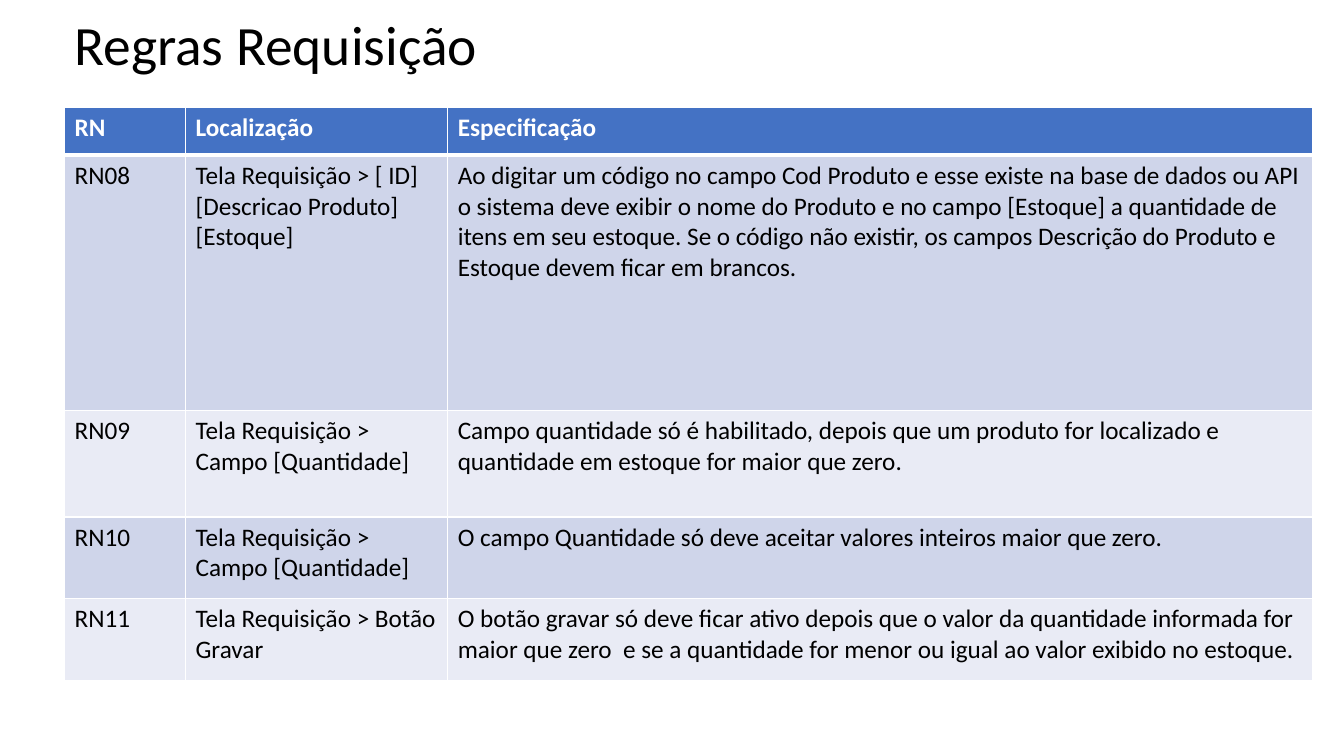
from dataclasses import dataclass

from lxml import etree
from pptx import Presentation
from pptx.dml.color import RGBColor
from pptx.enum.text import MSO_ANCHOR
from pptx.oxml.ns import qn
from pptx.util import Inches, Pt

MIDDLE = MSO_ANCHOR.MIDDLE


@dataclass(frozen=True)
class Theme:
    """Colours, font and sizes of the slide."""

    font: str = "Calibri"
    title_size: float = 39.6
    table_size: float = 18
    ink: str = "000000"
    white: str = "FFFFFF"
    header: str = "4472C4"
    bands: tuple = ("CFD5EA", "E9EBF5")
    thin: float = 1
    thick: float = 3


THEME = Theme()
COLUMN_WIDTHS = (1.2, 2.6, 8.58)
ROW_HEIGHTS = (0.47, 2.53, 1.06, 0.81, 0.81)
RULES = (
    ("RN", "Localização", "Especificação"),
    (
        "RN08",
        "Tela Requisição > [ ID] [Descricao Produto] [Estoque]",
        "Ao digitar um código no campo Cod Produto e esse existe na base de dados "
        "ou API o sistema deve exibir o nome do Produto e no campo [Estoque] a "
        "quantidade de itens em seu estoque. Se o código não existir, os campos "
        "Descrição do Produto e Estoque devem ficar em brancos.",
    ),
    (
        "RN09",
        "Tela Requisição > Campo [Quantidade]",
        "Campo quantidade só é habilitado, depois que um produto for localizado e "
        "quantidade em estoque for maior que zero.",
    ),
    (
        "RN10",
        "Tela Requisição > Campo [Quantidade]",
        "O campo Quantidade só deve aceitar valores inteiros maior que zero.",
    ),
    (
        "RN11",
        "Tela Requisição > Botão Gravar",
        "O botão gravar só deve ficar ativo depois que o valor da quantidade "
        "informada for maior que zero  e se a quantidade for menor ou igual ao "
        "valor exibido no estoque.",
    ),
)


def format_text(frame, size, colour, bold=False):
    """Give every run of a text frame the same font."""
    for para in frame.paragraphs:
        for span in para.runs:
            span.font.name = THEME.font
            span.font.size = Pt(size)
            span.font.bold = bold
            span.font.color.rgb = RGBColor.from_string(colour)


def add_title(page, text):
    """Add the slide title."""
    box = page.shapes.add_textbox(
        Inches(0.64), Inches(0.19), Inches(11.5), Inches(0.56)
    )
    frame = box.text_frame
    frame.word_wrap = True
    frame.vertical_anchor = MIDDLE
    frame.text = text
    frame.paragraphs[0].line_spacing = 0.9
    format_text(frame, THEME.title_size, THEME.ink)


def set_borders(cell, top, bottom):
    """Draw white cell borders with the given top and bottom widths."""
    properties = cell._tc.get_or_add_tcPr()
    widths = {"lnL": THEME.thin, "lnR": THEME.thin, "lnT": top, "lnB": bottom}
    for side, width in widths.items():
        line = etree.SubElement(properties, qn(f"a:{side}"), w=str(Pt(width)))
        fill = etree.SubElement(line, qn("a:solidFill"))
        etree.SubElement(fill, qn("a:srgbClr"), val=THEME.white)


def style_cell(cell, row):
    """Style a cell as header or as part of a coloured band."""
    is_header = row == 0
    set_borders(
        cell,
        top=THEME.thick if row == 1 else THEME.thin,
        bottom=THEME.thick if is_header else THEME.thin,
    )
    colour = THEME.header if is_header else THEME.bands[(row - 1) % 2]
    cell.fill.solid()
    cell.fill.fore_color.rgb = RGBColor.from_string(colour)
    ink = THEME.white if is_header else THEME.ink
    format_text(cell.text_frame, THEME.table_size, ink, is_header)


def add_rules_table(page):
    """Add the table of business rules."""
    table = page.shapes.add_table(
        len(ROW_HEIGHTS), len(COLUMN_WIDTHS), Inches(0.64), Inches(1.07),
        Inches(sum(COLUMN_WIDTHS)), Inches(sum(ROW_HEIGHTS)),
    ).table
    for column, width in zip(table.columns, COLUMN_WIDTHS):
        column.width = Inches(width)
    for row, height in zip(table.rows, ROW_HEIGHTS):
        row.height = Inches(height)
    for row, texts in enumerate(RULES):
        for column, text in enumerate(texts):
            cell = table.cell(row, column)
            cell.text_frame.text = text
            style_cell(cell, row)


def main():
    """Build and save the deck."""
    deck = Presentation()
    deck.slide_width = Inches(13.33)
    deck.slide_height = Inches(7.5)
    page = deck.slides.add_slide(deck.slide_layouts[6])
    add_title(page, "Regras Requisição")
    add_rules_table(page)
    deck.save("out.pptx")


if __name__ == "__main__":
    main()
